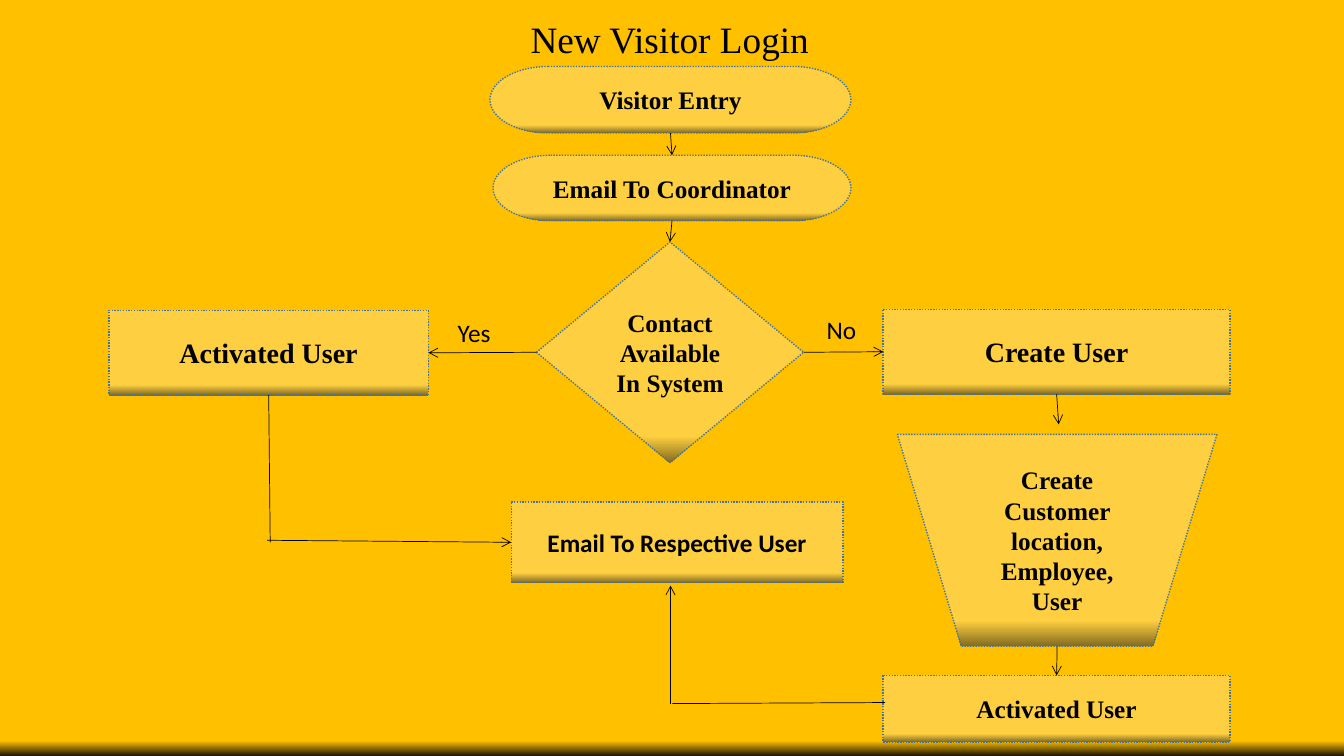
"""Build the New Visitor Login flowchart slide."""
from dataclasses import dataclass
from typing import Any, Optional, Union

import lxml.etree
import pptx
import pptx.dml.color
import pptx.dml.fill
import pptx.enum.dml
import pptx.enum.shapes
import pptx.enum.text
import pptx.oxml
import pptx.oxml.ns
import pptx.shapes.autoshape
import pptx.slide
import pptx.text.text
import pptx.util

Inches = pptx.util.Inches
SHAPE = pptx.enum.shapes.MSO_SHAPE
ANCHOR = pptx.enum.text.MSO_ANCHOR
ALIGN = pptx.enum.text.PP_ALIGN
AUTO_SIZE = pptx.enum.text.MSO_AUTO_SIZE
TOP, LEFT, BOTTOM, RIGHT = range(4)


@dataclass(frozen=True)
class Theme:
    ink: str = "000000"
    outline: str = "43739E"
    page: tuple = ((0.98, "FFC000"), (1.0, "1A1300"))
    step: tuple = ((0.88, "FECF40"), (1.0, "846C21"))
    serif: str = "Times New Roman"
    sans: str = "Calibri"
    title_size: float = 26.6
    large_size: float = 20
    body_size: float = 18
    outline_width: float = 1
    arrow_width: float = 0.5


THEME = Theme()


@dataclass(frozen=True)
class Step:
    key: str
    kind: Any
    box: tuple
    lines: tuple
    size: float = THEME.body_size
    font: str = THEME.serif


@dataclass(frozen=True)
class Joint:
    key: str
    side: int


@dataclass(frozen=True)
class Link:
    start: Union[Joint, tuple]
    end: Union[Joint, tuple]
    arrow: bool = True


@dataclass(frozen=True)
class Label:
    text: str
    box: tuple


PROCESS = SHAPE.FLOWCHART_PROCESS
TERMINATOR = SHAPE.FLOWCHART_TERMINATOR
STEPS = (
    Step("existing", PROCESS, (1.08, 3.08, 3.17, 0.84), ("Activated User",), THEME.large_size),
    Step("create", PROCESS, (8.76, 3.07, 3.44, 0.84), ("Create User",), THEME.large_size),
    Step("check", SHAPE.FLOWCHART_DECISION, (5.32, 2.4, 2.65, 2.19),
         ("Contact Available In System",)),
    Step("coordinator", TERMINATOR, (4.89, 1.54, 3.55, 0.65), ("Email To Coordinator",)),
    Step("entry", TERMINATOR, (4.86, 0.66, 3.58, 0.66), ("Visitor Entry",)),
    Step("details", SHAPE.FLOWCHART_MANUAL_OPERATION, (8.9, 4.31, 3.17, 2.1),
         ("Create Customer location,", "Employee,", "User")),
    Step("activated", PROCESS, (8.76, 6.7, 3.44, 0.66), ("Activated User",)),
    Step("email", PROCESS, (5.07, 4.98, 3.29, 0.8), ("Email To Respective User",),
         font=THEME.sans),
)
LINKS = (
    Link(Joint("entry", BOTTOM), Joint("coordinator", TOP)),
    Link(Joint("coordinator", BOTTOM), Joint("check", TOP)),
    Link(Joint("check", LEFT), Joint("existing", RIGHT)),
    Link(Joint("check", RIGHT), Joint("create", LEFT)),
    Link(Joint("create", BOTTOM), (10.5, 4.21)),
    Link(Joint("details", BOTTOM), Joint("activated", TOP)),
    Link(Joint("existing", BOTTOM), (2.68, 5.38), arrow=False),
    Link((2.65, 5.36), Joint("email", LEFT)),
    Link((8.78, 6.97), (6.67, 6.98), arrow=False),
    Link((6.65, 6.98), (6.65, 5.81)),
)
LABELS = (Label("Yes", (4.44, 3.1, 0.7, 0.4)), Label("No", (8.1, 3.07, 0.55, 0.4)))


def apply(target: Any, values: dict) -> None:
    """Set each named attribute on the target."""
    for name, value in values.items():
        setattr(target, name, value)


def rgb(code: str) -> pptx.dml.color.RGBColor:
    """Turn a hex code into a colour."""
    return pptx.dml.color.RGBColor.from_string(code)


def shade(fill: pptx.dml.fill.FillFormat, stops: tuple) -> None:
    """Fill downwards through two colour stops."""
    fill.gradient()
    fill.gradient_angle = 270
    for stop, (position, code) in zip(fill.gradient_stops, stops):
        stop.position = position
        stop.color.rgb = rgb(code)


def write(tf: pptx.text.text.TextFrame, lines: tuple, size: float, font: str,
          bold: bool = False, frame: Optional[dict] = None,
          paragraph: Optional[dict] = None) -> None:
    """Write one paragraph per line with a shared format."""
    apply(tf, {"word_wrap": True, **(frame or {})})
    for i, line in enumerate(lines):
        p = tf.add_paragraph() if i else tf.paragraphs[0]
        apply(p, paragraph or {})
        r = p.add_run()
        r.text = line
        apply(r.font, {"name": font, "size": pptx.util.Pt(size), "bold": bold})
        r.font.color.rgb = rgb(THEME.ink)


def draw_title(s: pptx.slide.Slide, text: str) -> None:
    """Place and format the slide title."""
    sp = s.shapes.title
    apply(sp, dict(zip(("left", "top", "width", "height"),
                       map(Inches, (3.9, 0.14, 5.49, 0.52)))))
    write(sp.text_frame, (text,), THEME.title_size, THEME.serif,
          frame={"vertical_anchor": ANCHOR.BOTTOM, "auto_size": AUTO_SIZE.NONE},
          paragraph={"alignment": ALIGN.CENTER, "line_spacing": 0.9})


def draw_step(s: pptx.slide.Slide, step: Step) -> pptx.shapes.autoshape.Shape:
    """Draw one flowchart step."""
    sp = s.shapes.add_shape(step.kind, *map(Inches, step.box))
    sp.shadow.inherit = False
    shade(sp.fill, THEME.step)
    sp.line.color.rgb = rgb(THEME.outline)
    apply(sp.line, {"width": pptx.util.Pt(THEME.outline_width),
                    "dash_style": pptx.enum.dml.MSO_LINE.ROUND_DOT})
    write(sp.text_frame, step.lines, step.size, step.font, bold=True,
          frame={"vertical_anchor": ANCHOR.MIDDLE}, paragraph={"alignment": ALIGN.CENTER})
    return sp


def draw_link(s: pptx.slide.Slide, link: Link, shapes: dict) -> None:
    """Draw one line, joined to its steps where it meets them."""
    points = [(0, 0) if isinstance(end, Joint) else end for end in (link.start, link.end)]
    c = s.shapes.add_connector(pptx.enum.shapes.MSO_CONNECTOR.STRAIGHT,
                               *(Inches(v) for point in points for v in point))
    for end, connect in ((link.start, c.begin_connect), (link.end, c.end_connect)):
        if isinstance(end, Joint):
            connect(shapes[end.key], end.side)
    c.line.color.rgb = rgb(THEME.ink)
    c.line.width = pptx.util.Pt(THEME.arrow_width)
    qn = pptx.oxml.ns.qn
    sp_pr = c.line._get_or_add_ln().getparent()
    if link.arrow:
        lxml.etree.SubElement(sp_pr.find(qn("a:ln")), qn("a:tailEnd"), type="arrow")
    lxml.etree.SubElement(sp_pr, qn("a:effectLst"))


def draw_label(s: pptx.slide.Slide, label: Label) -> None:
    """Draw one branch label."""
    sp = s.shapes.add_textbox(*map(Inches, label.box))
    write(sp.text_frame, (label.text,), THEME.body_size, THEME.sans,
          frame={"auto_size": AUTO_SIZE.SHAPE_TO_FIT_TEXT})


def main() -> None:
    """Build and save the presentation."""
    prs = pptx.Presentation()
    apply(prs, {"slide_width": Inches(13.33), "slide_height": Inches(7.5)})
    s = prs.slides.add_slide(prs.slide_layouts.get_by_name("Title Only"))
    shade(s.background.fill, THEME.page)
    draw_title(s, "New Visitor Login")
    shapes = {step.key: draw_step(s, step) for step in STEPS}
    for link in LINKS:
        draw_link(s, link, shapes)
    for label in LABELS:
        draw_label(s, label)
    prs.save("out.pptx")


if __name__ == "__main__":
    main()
